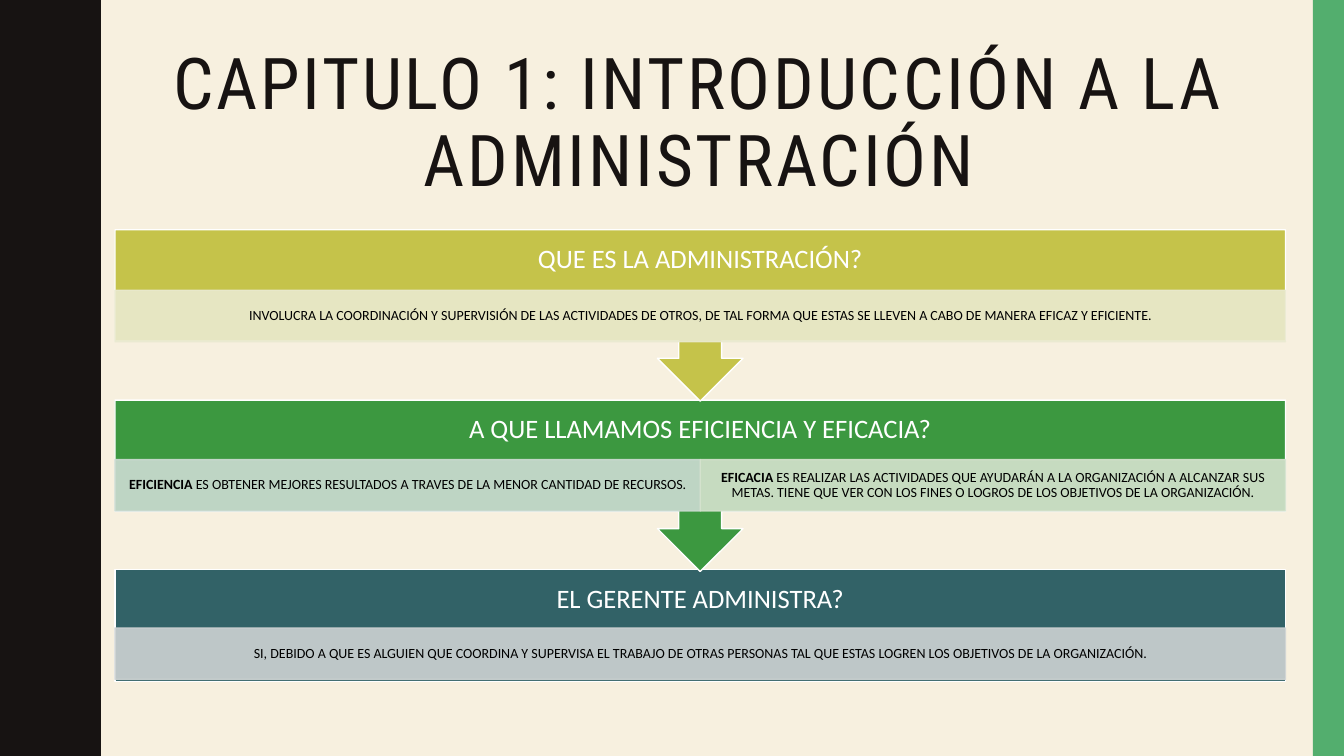
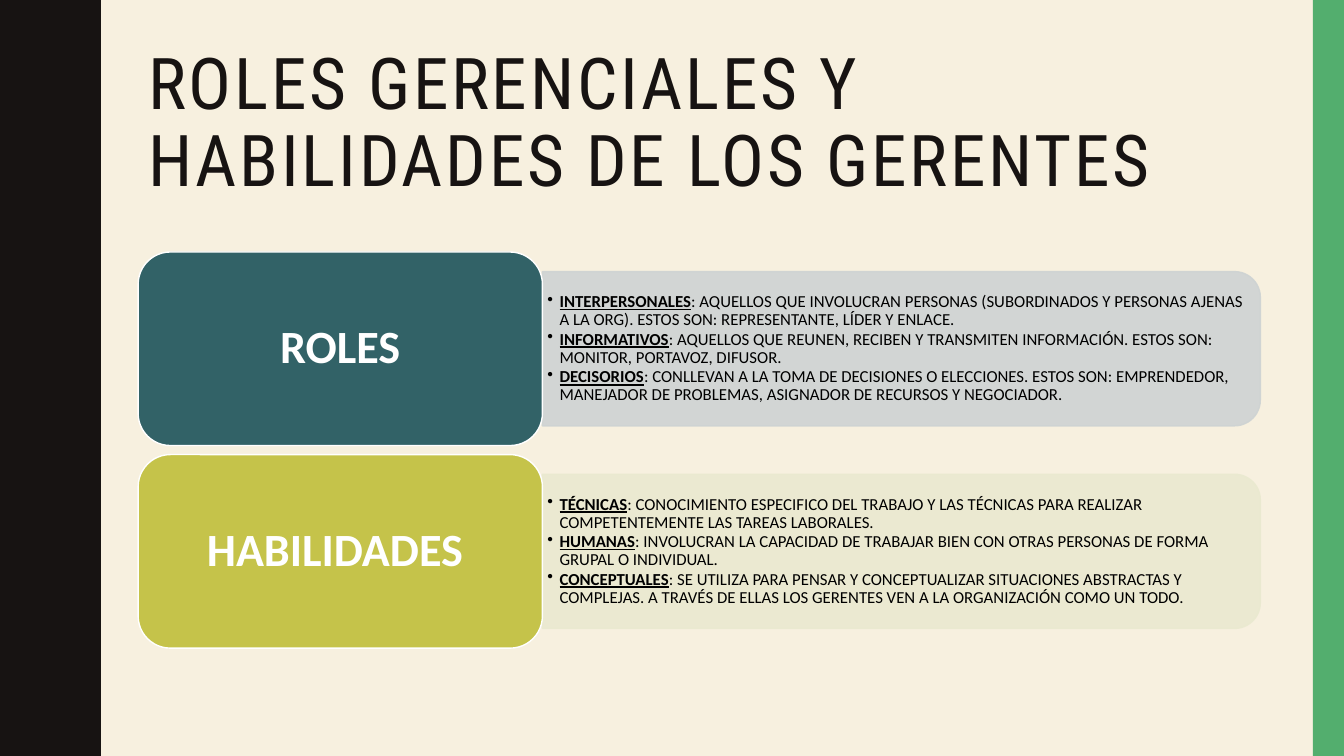
from lxml import etree
from pptx import Presentation
from pptx import util as u
from pptx.dml.color import RGBColor
from pptx.enum import shapes, text
from pptx.oxml.ns import qn

INK, CREAM, GREEN_EDGE, WHITE, BLACK = "171312", "F7F0DF", "53AE6E", "FFFFFF", "000000"
TEAL, OLIVE, GREEN = "326267", "C5C34A", "3C9840"
SHAPE = shapes.MSO_SHAPE
CENTER, LEFT = text.PP_ALIGN.CENTER, text.PP_ALIGN.LEFT

TITLE = dict(size=u.Pt(51), name="Roboto Condensed", color=INK)
HEADING = dict(size=u.Pt(19), name="Calibri", color=WHITE)
DETAIL = dict(size=u.Pt(10), name="Calibri", color=BLACK)
LABEL = dict(size=u.Pt(33), name="Calibri", color=WHITE, bold=True)
ITEM = dict(size=u.Pt(12), name="Calibri", color=BLACK)

# One half wave of the left band: x, y
WAVE_PERIOD = 1.5
HALF_WAVE = [(0.78, 0), (0.78, 0.07), (0.79, 0.14), (0.8, 0.2), (0.81, 0.25),
             (0.83, 0.29), (0.85, 0.33), (0.87, 0.38), (0.89, 0.42), (0.91, 0.46),
             (0.93, 0.5), (0.95, 0.55), (0.96, 0.61), (0.97, 0.68)]

INTRO_TITLE = "CAPITULO 1: INTRODUCCIÓN A LA ADMINISTRACIÓN"
# Heading, its top, its colour, top of the band, cells as (colour, bold term, rest)
QUESTIONS = [
    ("QUE ES LA ADMINISTRACIÓN?", 2.28, OLIVE, 2.88, [
        ("EAEAD0", "", "INVOLUCRA LA COORDINACIÓN Y SUPERVISIÓN DE LAS ACTIVIDADES DE OTROS, "
         "DE TAL FORMA QUE ESTAS SE LLEVEN A CABO DE MANERA EFICAZ Y EFICIENTE.")]),
    ("A QUE LLAMAMOS EFICIENCIA Y EFICACIA?", 3.97, GREEN, 4.56, [
        ("CDDCD3", "EFICIENCIA", " ES OBTENER MEJORES RESULTADOS A TRAVES DE LA MENOR "
         "CANTIDAD DE RECURSOS."),
        ("D5E3CE", "EFICACIA", " ES REALIZAR LAS ACTIVIDADES QUE AYUDARÁN A LA ORGANIZACIÓN "
         "A ALCANZAR SUS METAS. TIENE QUE VER CON LOS FINES O LOGROS DE LOS OBJETIVOS "
         "DE LA ORGANIZACIÓN.")]),
    ("EL GERENTE ADMINISTRA?", 5.65, TEAL, 6.23, [
        ("CED3D3", "", "SI, DEBIDO A QUE ES ALGUIEN QUE COORDINA Y SUPERVISA EL TRABAJO DE "
         "OTRAS PERSONAS TAL QUE ESTAS LOGREN LOS OBJETIVOS DE LA ORGANIZACIÓN.")]),
]

ROLES_TITLE = "ROLES GERENCIALES Y HABILIDADES DE LOS GERENTES"
# Label, its colour, panel colour, items as (term, rest)
GROUPS = [
    ("ROLES", TEAL, "CED3D3", [
        ("INTERPERSONALES", ": AQUELLOS QUE INVOLUCRAN PERSONAS (SUBORDINADOS Y PERSONAS "
         "AJENAS A LA ORG). ESTOS SON: REPRESENTANTE, LÍDER Y ENLACE."),
        ("INFORMATIVOS", ": AQUELLOS QUE REUNEN, RECIBEN Y TRANSMITEN INFORMACIÓN. "
         "ESTOS SON: MONITOR, PORTAVOZ, DIFUSOR."),
        ("DECISORIOS", ": CONLLEVAN A LA TOMA DE DECISIONES O ELECCIONES. ESTOS SON: "
         "EMPRENDEDOR, MANEJADOR DE PROBLEMAS, ASIGNADOR DE RECURSOS Y NEGOCIADOR.")]),
    ("HABILIDADES ", OLIVE, "EAE9D0", [
        ("TÉCNICAS", ": CONOCIMIENTO ESPECIFICO DEL TRABAJO Y LAS TÉCNICAS PARA REALIZAR "
         "COMPETENTEMENTE LAS TAREAS LABORALES."),
        ("HUMANAS", ": INVOLUCRAN LA CAPACIDAD DE TRABAJAR BIEN CON OTRAS PERSONAS DE FORMA "
         "GRUPAL O INDIVIDUAL."),
        ("CONCEPTUALES", ": SE UTILIZA PARA PENSAR Y CONCEPTUALIZAR SITUACIONES ABSTRACTAS Y "
         "COMPLEJAS. A TRAVÉS DE ELLAS LOS GERENTES VEN A LA ORGANIZACIÓN COMO UN TODO.")]),
]


def rgb(value):
    return RGBColor.from_string(value)


def paint(shape, fill, line=None, alpha=None):
    """Fill and outline a shape; alpha is the opacity of both in percent."""
    shape.shadow.inherit = False
    shape.fill.solid()
    shape.fill.fore_color.rgb = rgb(fill)
    if line:
        shape.line.color.rgb = rgb(line)
        shape.line.width = u.Pt(1)
    else:
        shape.line.fill.background()
    if alpha:
        for color in shape._element.spPr.iter(qn("a:srgbClr")):
            etree.SubElement(color, qn("a:alpha"), val=str(alpha * 1000))


def add_block(page, kind, place, fill, line=None, alpha=None):
    block = page.shapes.add_shape(kind, *map(u.Inches, place))
    paint(block, fill, line, alpha)
    return block


def add_textbox(page, place):
    return page.shapes.add_textbox(*map(u.Inches, place))


def set_frame(shape, insets):
    """Set wrapping, middle anchor and the left, top, right and bottom insets."""
    frame = shape.text_frame
    frame.word_wrap = True
    frame.vertical_anchor = text.MSO_ANCHOR.MIDDLE
    for side, inset in zip(("left", "top", "right", "bottom"), insets):
        setattr(frame, f"margin_{side}", u.Inches(inset))
    return frame


def write(para, spans, style, align=CENTER):
    """Fill a paragraph with (text, extra format) spans."""
    para.alignment = align
    para.line_spacing = 0.9
    for words, extra in spans:
        span = para.add_run()
        span.text = words
        for key, value in {**style, **extra}.items():
            if key == "color":
                span.font.color.rgb = rgb(value)
            else:
                setattr(span.font, key, value)


def add_bullet(para):
    props = para._p.get_or_add_pPr()
    props.set("marL", str(u.Inches(0.12)))
    props.set("indent", str(-u.Inches(0.12)))
    etree.SubElement(props, qn("a:buChar"), char="•")


def add_page(deck, title, align):
    page = deck.slides.add_slide(deck.slide_layouts[6])
    page.background.fill.solid()
    page.background.fill.fore_color.rgb = rgb(CREAM)

    wave = HALF_WAVE + [(0.97, 0.75)] + [(x, WAVE_PERIOD - y) for x, y in HALF_WAVE[::-1]]
    edge = [(x, y + WAVE_PERIOD * turn) for turn in range(5) for x, y in wave]
    outline = page.shapes.build_freeform(0, 0, scale=u.Inches(1))
    outline.add_line_segments(edge + [(0, 7.5)], close=True)
    paint(outline.convert_to_shape(), INK)
    add_block(page, SHAPE.RECTANGLE, (13.02, 0, 0.31, 7.5), GREEN_EDGE)

    box = add_textbox(page, (1.37, 0.42, 11.13, 1.63))
    para = set_frame(box, (0.1, 0.05, 0.1, 0.05)).paragraphs[0]
    write(para, [(title, {})], TITLE, align)
    para.runs[0].font._element.set("spc", "200")
    return page


def add_questions(page):
    left, width, band_height = 1.14, 11.61, 0.51
    for heading, top, color, band_top, cells in reversed(QUESTIONS):
        last = heading == QUESTIONS[-1][0]
        kind = SHAPE.RECTANGLE if last else SHAPE.DOWN_ARROW_CALLOUT
        block = add_block(page, kind, (left, top, width, 1.11 if last else 1.7), color, WHITE)
        frame = set_frame(block, (0.15, 0.15, 0.15, 0.15 + band_height))
        write(frame.paragraphs[0], [(heading, {})], HEADING)
        cell_width = width / len(cells)
        for i, (tint, term, rest) in enumerate(cells):
            place = (left + i * cell_width, band_top, cell_width, band_height)
            cell = add_block(page, SHAPE.RECTANGLE, place, tint, tint, 90)
            spans = [(term, dict(bold=True))] if term else []
            frame = set_frame(cell, (0.08, 0.01, 0.08, 0.01))
            write(frame.paragraphs[0], spans + [(rest, {})], DETAIL)


def add_groups(page):
    left, width, height, step = 1.37, 4.01, 1.92, 2.01
    panel_width, panel_height = 7.12, 1.53
    for i, (label, color, tint, items) in enumerate(GROUPS):
        top = 2.5 + i * step
        right, middle = left + width, top + height / 2
        # The panel is turned a quarter, so its width and height are swapped
        place = (right + (panel_width - panel_height) / 2, middle - panel_width / 2,
                 panel_height, panel_width)
        panel = add_block(page, SHAPE.ROUND_2_SAME_RECTANGLE, place, tint, tint, 90)
        panel.rotation = 90

        box = add_textbox(page, (right, middle - 0.69, 7.05, 1.38))
        frame = set_frame(box, (0.05, 0.03, 0.05, 0.03))
        for n, (term, rest) in enumerate(items):
            para = frame.add_paragraph() if n else frame.paragraphs[0]
            para.space_after = u.Pt(1)
            add_bullet(para)
            write(para, [(term, dict(bold=True, underline=True)), (rest, {})], ITEM, LEFT)

        tile = add_block(page, SHAPE.ROUNDED_RECTANGLE, (left, top, width, height), color, WHITE)
        frame = set_frame(tile, (0.14, 0.07, 0.14, 0.07))
        write(frame.paragraphs[0], [(label, {})], LABEL)


def main():
    deck = Presentation()
    deck.slide_width, deck.slide_height = u.Inches(13.33), u.Inches(7.5)
    add_questions(add_page(deck, INTRO_TITLE, CENTER))
    add_groups(add_page(deck, ROLES_TITLE, LEFT))
    deck.save("out.pptx")


if __name__ == "__main__":
    main()
